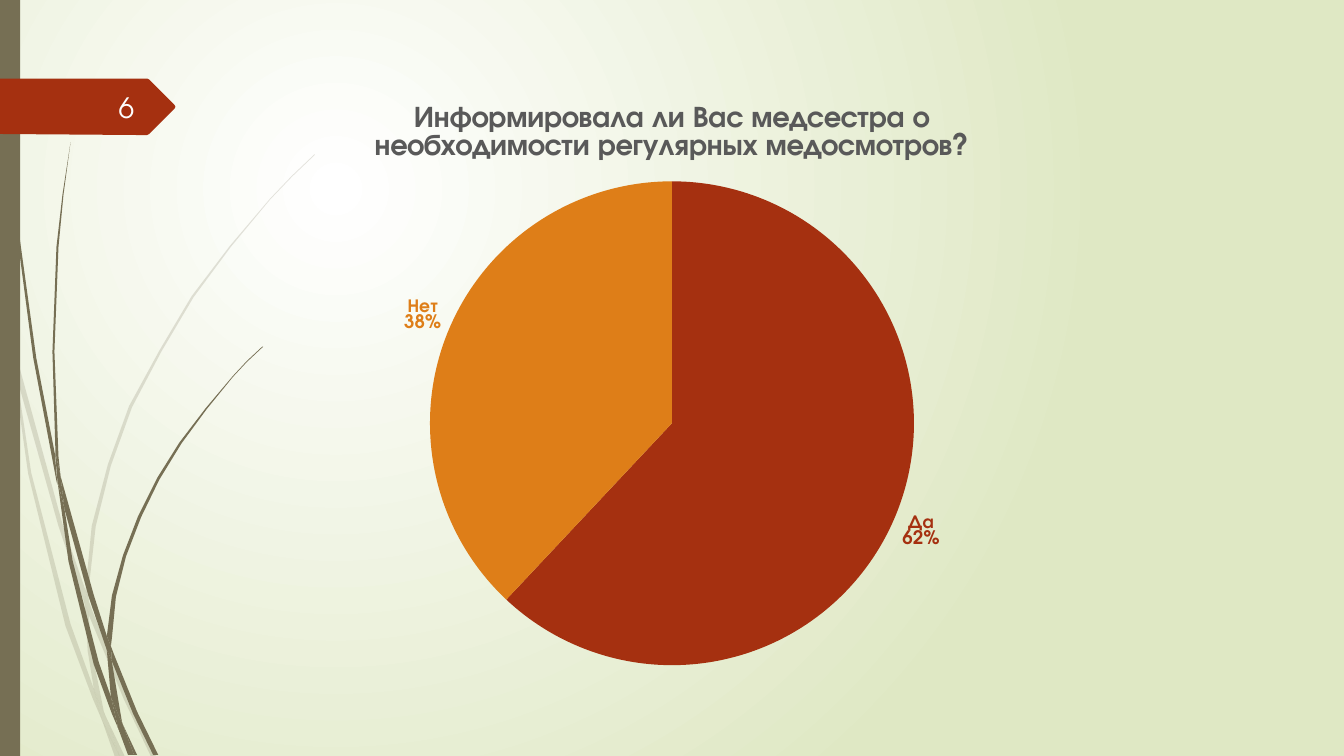
from lxml.etree import SubElement
from pptx import Presentation
from pptx.chart.data import CategoryChartData as ChartData
from pptx.dml.color import RGBColor
from pptx.enum.chart import XL_CHART_TYPE as Kind, XL_LABEL_POSITION as Pos
from pptx.enum.shapes import MSO_SHAPE as Shape
from pptx.enum.text import MSO_ANCHOR as Anchor, PP_ALIGN as Align
from pptx.oxml import parse_xml
from pptx.oxml.ns import nsdecls, qn
from pptx.util import Inches, Pt

FONT = "TeX Gyre Adventor"
OLIVE, RUST, AMBER = "766F54", "A53010", "DE7E18"

# Outlines as x y pairs in inches
PALE = [
    ".11 3.5 .09 3.22 0 2.82 0 2.99 .1 3.44",
    ".58 5.22 .84 5.99 .85 5.86 .62 5.2 .14 3.45 .17 3.76",
    ".92 6.07 .88 5.96 .88 6.1 1.23 6.94 1.5 7.51 1.55 7.51 1.27 6.92",
    "1.19 7.51 1.24 7.51 1.05 7.11",
    ".93 6.83 .7 6.19 .31 4.69 .17 3.76 .11 3.5 .28 4.7 .65 6.21 .92 6.93 1.01 7.14 .99 7.07",
    ".84 5.99 .87 6.46 .93 6.83 .96 6.92 1.05 7.11 1.03 7.06 .91 6.46 .88 6.1 .88 6.08",
    ".88 5.84 .95 5.22 1.1 4.62 1.31 4.04 1.6 3.49 1.92 2.95 2.29 2.45 2.68 1.98 2.9 1.75 "
    "3.12 1.54 3.12 1.53 2.89 1.75 2.68 1.97 2.28 2.44 1.9 2.94 1.58 3.48 1.28 4.03 1.07 4.61 "
    ".91 5.22 .85 5.84 .85 5.86 .88 5.96",
    "1.01 7.14 1.14 7.51 1.19 7.51",
    ".88 6.08 .88 6.1 .88 5.96 .85 5.86 .84 5.99",
    ".96 6.92 .93 6.83 .99 7.07 1.01 7.14 1.19 7.51 1.05 7.11",
]
DARK = [
    ".07 1.1 .17 2.33 .33 3.55 .56 4.77 .57 4.81 .55 4.57 .55 4.53 .36 3.55 .19 2.32 .08 1.09 "
    ".05 .48 .04 0 .03 0 .04 .48",
    ".88 5.92 1.06 6.45 1.06 6.33 1.06 6.31 .93 5.9 .6 4.72 .64 5.05",
    "1.13 6.49 1.1 6.41 1.11 6.56 1.32 7.08 1.52 7.49 1.57 7.49 1.36 7.06",
    "1.1 6.91 .98 6.57 .72 5.56 .64 5.05 .57 4.77 .68 5.57 .93 6.59 1.11 7.08 1.17 7.22 1.16 7.17",
    ".6 4.72 .58 4.53 .54 3.49 .58 2.45 .63 1.93 .7 1.41 .62 1.93 .56 2.45 .52 3.49 .55 4.49",
    "1.33 7.49 1.36 7.49 1.22 7.19",
    ".57 4.77 .64 5.05 .6 4.72 .55 4.49 .55 4.53",
    "1.11 6.33 1.15 5.92 1.25 5.52 1.4 5.13 1.58 4.76 1.8 4.4 2.05 4.06 2.31 3.74 2.45 3.59 "
    "2.61 3.44 2.6 3.44 2.45 3.58 2.31 3.73 2.04 4.05 1.78 4.39 1.56 4.74 1.37 5.12 1.22 5.51 "
    "1.11 5.91 1.06 6.31 1.1 6.41",
    "1.17 7.22 1.27 7.49 1.31 7.49",
    "1.06 6.45 1.1 6.91 1.16 7.06 1.22 7.19 1.21 7.16 1.11 6.56 1.09 6.51",
    "1.06 6.45 1.09 6.51 1.11 6.56 1.1 6.41 1.06 6.31 1.06 6.33",
    "1.16 7.06 1.1 6.91 1.16 7.17 1.17 7.22 1.3 7.49 1.33 7.49 1.22 7.19",
]
FLAG = "0 .78 1.46 .78 1.48 .79 1.73 1.04 1.74 1.06 1.73 1.08 1.48 1.33 1.46 1.34 1.36 1.34 0 1.33"


def rgb(code):
    return RGBColor.from_string(code)


class Deck:
    def __init__(self):
        self.prs = Presentation()
        self.prs.slide_width, self.prs.slide_height = Inches(13.33), Inches(7.5)
        self.slide = self.prs.slides.add_slide(self.prs.slide_layouts[6])
        self.shapes = self.slide.shapes

    def style(self, font, size, color, bold=False):
        font.name, font.size, font.bold = FONT, Pt(size), bold
        font.color.rgb = rgb(color)

    def paint(self, shape, color, alpha=None):
        shape.shadow.inherit = False
        shape.fill.solid()
        shape.fill.fore_color.rgb = rgb(color)
        shape.line.fill.background()
        if alpha:
            tone = shape.element.spPr.find(qn("a:solidFill"))[0]
            SubElement(tone, qn("a:alpha")).set("val", str(alpha * 1000))

    def glow(self, inner, outer):
        fill = self.slide.background.fill
        fill.gradient()
        for stop, color in zip(fill.gradient_stops, (inner, outer)):
            stop.color.rgb = rgb(color)
        grad = next(self.slide.element.iter(qn("a:gradFill")))
        grad.replace(grad.find(qn("a:lin")), parse_xml(
            f'<a:path {nsdecls("a")} path="circle">'
            '<a:fillToRect l="50000" t="50000" r="100000" b="100000"/></a:path>'))

    def outline(self, spots, color, alpha=None):
        nums = [Inches(float(n)) for n in spots.split()]
        pts = list(zip(nums[::2], nums[1::2]))
        form = self.shapes.build_freeform(*pts[0], scale=1)
        form.add_line_segments(pts[1:], close=True)
        self.paint(form.convert_to_shape(), color, alpha)

    def rect(self, box, color):
        self.paint(self.shapes.add_shape(Shape.RECTANGLE, *map(Inches, box)), color)

    def text(self, box, words, size, color):
        frame = self.shapes.add_textbox(*map(Inches, box)).text_frame
        frame.word_wrap, frame.vertical_anchor = True, Anchor.MIDDLE
        para = frame.paragraphs[0]
        para.text, para.alignment = words, Align.RIGHT
        self.style(para.font, size, color)

    def pie(self, box, title, slices):
        data = ChartData()
        data.categories = [name for name, _, _ in slices]
        data.add_series(title, [share for _, share, _ in slices])
        chart = self.shapes.add_chart(Kind.PIE, *map(Inches, box), data).chart
        self.style(chart.font, 10, "000000")
        chart.has_legend = False
        chart.has_title = True
        para = chart.chart_title.text_frame.paragraphs[0]
        para.text = title
        self.style(para.font, 21.3, "595959", True)
        plot = chart.plots[0]
        plot.vary_by_categories = True
        series = plot.series[0]
        tags = series.data_labels
        tags.show_value, tags.show_category_name, tags.show_percentage = False, True, True
        tags.position = Pos.OUTSIDE_END
        for i, (_, _, color) in enumerate(slices):
            point = series.points[i]
            point.format.fill.solid()
            point.format.fill.fore_color.rgb = rgb(color)
            point.format.line.fill.background()
            self.style(point.data_label.font, 13.3, color, True)
            point.data_label.position = Pos.OUTSIDE_END
        # Category over percentage in each label
        for tag in chart.element.iter(qn("c:dLbl")):
            for key, val in (("Val", "0"), ("CatName", "1"), ("Percent", "1")):
                tag.find(qn("c:show" + key)).set("val", val)
            SubElement(tag, qn("c:separator")).text = "\n"
        # Fixed place of the pie inside the chart
        area = next(chart.element.iter(qn("c:plotArea")))
        for old in area.findall(qn("c:layout")):
            area.remove(old)
        spots = (("x", .23), ("y", .17), ("w", .54), ("h", .81))
        area.insert(0, parse_xml(
            f'<c:layout {nsdecls("c")}><c:manualLayout><c:layoutTarget val="inner"/>'
            '<c:xMode val="edge"/><c:yMode val="edge"/>'
            + "".join(f'<c:{k} val="{v}"/>' for k, v in spots)
            + '</c:manualLayout></c:layout>'))


def main():
    deck = Deck()
    # Backdrop and grass
    deck.glow("FFFFFF", "DFE8C4")
    for blades, alpha in ((PALE, 20), (DARK, None)):
        for blade in blades:
            deck.outline(blade, OLIVE, alpha)
    deck.rect((0, 0, .2, 7.5), OLIVE)
    # Page number flag
    deck.outline(FLAG, RUST)
    deck.text((.58, .86, .85, .4), "6", 20, "FEFFFF")
    # Survey result
    deck.pie((2.22, .79, 8.89, 5.93),
             "Информировала ли Вас медсестра о необходимости регулярных медосмотров?",
             [("Да", 62, RUST), ("Нет", 38, AMBER)])
    deck.prs.save("out.pptx")


if __name__ == "__main__":
    main()
